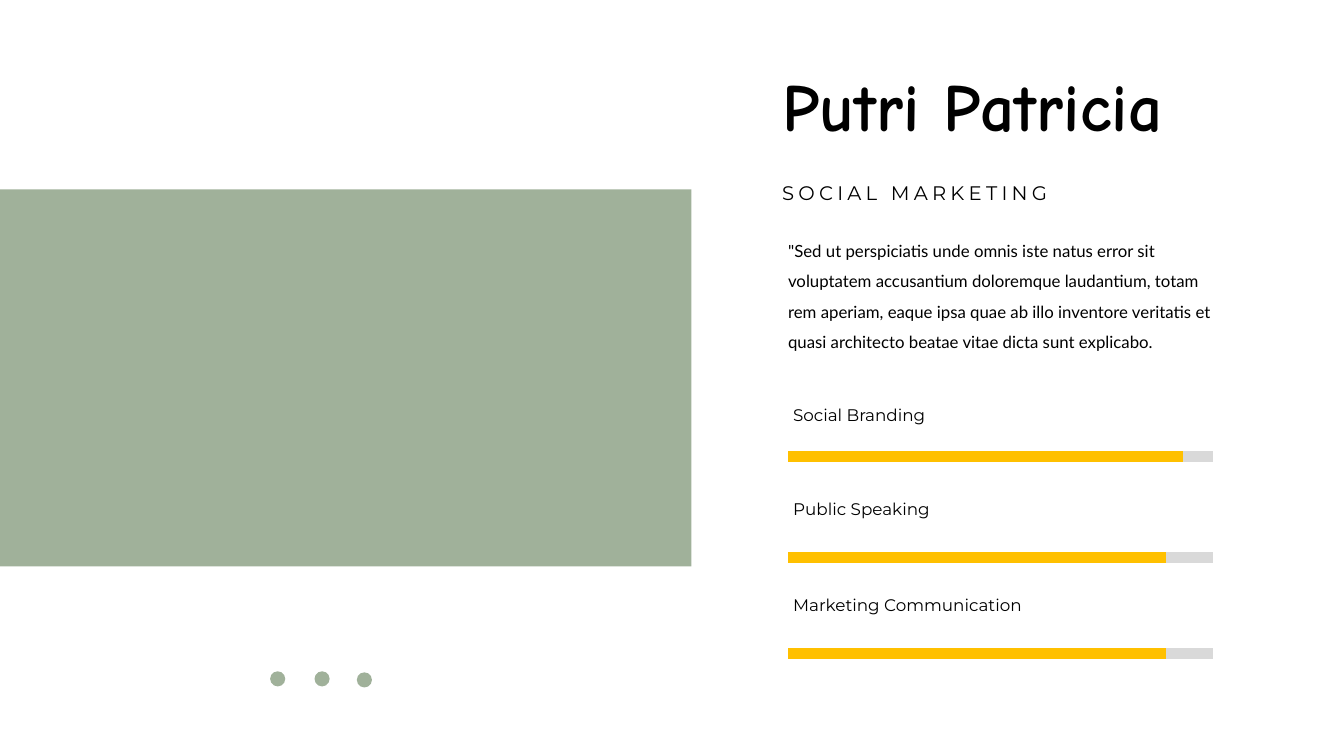
from lxml.etree import SubElement
from pptx import Presentation
from pptx.dml.color import RGBColor
from pptx.enum.shapes import MSO_CONNECTOR, MSO_SHAPE
from pptx.oxml.ns import qn
from pptx.util import Inches, Pt

WIDTH, HEIGHT = Inches(13.33), Inches(7.5)
COLUMNS, ROWS = 160, 90

SAGE = RGBColor(0xA0, 0xB1, 0x9A)
AMBER = RGBColor(0xFF, 0xC0, 0x00)
TRACK_GREY = RGBColor(0xD9, 0xD9, 0xD9)
BLACK = RGBColor(0x00, 0x00, 0x00)

BAR_LEFT, BAR_LENGTH = 93.84, 50.52
TEXT_WIDTH = 58.44
DOT_SIZE = 1.8

BIO = ('"Sed ut perspiciatis unde omnis iste natus error sit voluptatem '
       'accusantium doloremque laudantium, totam rem aperiam, eaque ipsa quae '
       'ab illo inventore veritatis et quasi architecto beatae vitae dicta '
       'sunt explicabo.')

# Label, label row, label height, bar row, share filled
SKILLS = [
    ("Social Branding", 47.64, 4.44, 54.36, 0.93),
    ("Public Speaking", 58.8, 3.84, 66.36, 0.89),
    ("Marketing Communication", 70.2, 3.84, 77.76, 0.89),
]
DOTS = [(32.16, 79.92), (37.44, 79.92), (42.48, 80.04)]


def col(count):
    return round(WIDTH * count / COLUMNS)


def row(count):
    return round(HEIGHT * count / ROWS)


def add_block(slide, kind, left, top, width, height):
    block = slide.shapes.add_shape(
        kind, col(left), row(top), col(width), row(height))
    block.shadow.inherit = False
    block.fill.solid()
    block.fill.fore_color.rgb = SAGE
    block.line.fill.background()


def add_text(slide, text, left, top, width, height, font, size,
             bold=False, line_spacing=None, space_before=10, tracking=0):
    box = slide.shapes.add_textbox(
        col(left), row(top), col(width), row(height))
    box.text_frame.word_wrap = True
    paragraph = box.text_frame.paragraphs[0]
    paragraph.text = text
    paragraph.line_spacing = line_spacing
    paragraph.space_before = Pt(space_before)
    paragraph.font.name = font
    paragraph.font.size = Pt(size)
    paragraph.font.bold = bold
    paragraph.font.color.rgb = BLACK
    if tracking:
        letters = paragraph.runs[0].font
        letters.bold = bold
        paragraph.runs[0]._r.get_or_add_rPr().set("spc", str(tracking * 100))


def add_bar(slide, top, share, color):
    bar = slide.shapes.add_connector(
        MSO_CONNECTOR.STRAIGHT, col(BAR_LEFT), row(top),
        col(BAR_LEFT + BAR_LENGTH * share), row(top))
    bar.line.color.rgb = color
    bar.line.width = Pt(8)
    SubElement(bar._element.spPr, qn("a:effectLst"))


def add_skill(slide, label, label_top, label_height, bar_top, share):
    add_bar(slide, bar_top, 1, TRACK_GREY)
    add_bar(slide, bar_top, share, AMBER)
    add_text(slide, label, 93.24, label_top, TEXT_WIDTH, label_height,
             "Montserrat", 12)


def main():
    deck = Presentation()
    deck.slide_width, deck.slide_height = WIDTH, HEIGHT
    slide = deck.slides.add_slide(deck.slide_layouts[6])

    # Colour panel on the left
    add_block(slide, MSO_SHAPE.RECTANGLE, 0, 22.56, 82.32, 44.88)

    # Name, role and biography
    add_text(slide, "Putri Patricia", 91.92, 7.08, 59.76, 10.92,
             "Comic Neue", 48, bold=True, space_before=0)
    add_text(slide, BIO, 92.64, 26.88, 53.88, 14.76,
             "Lato", 12, line_spacing=1.5)
    add_text(slide, "SOCIAL MARKETING", 91.92, 19.56, TEXT_WIDTH, 5.76,
             "Montserrat", 14, line_spacing=1.5, tracking=3)

    # Skill bars
    for skill in SKILLS:
        add_skill(slide, *skill)

    # Dots below the panel
    for left, top in DOTS:
        add_block(slide, MSO_SHAPE.OVAL, left, top, DOT_SIZE, DOT_SIZE)

    deck.save("out.pptx")


if __name__ == "__main__":
    main()
